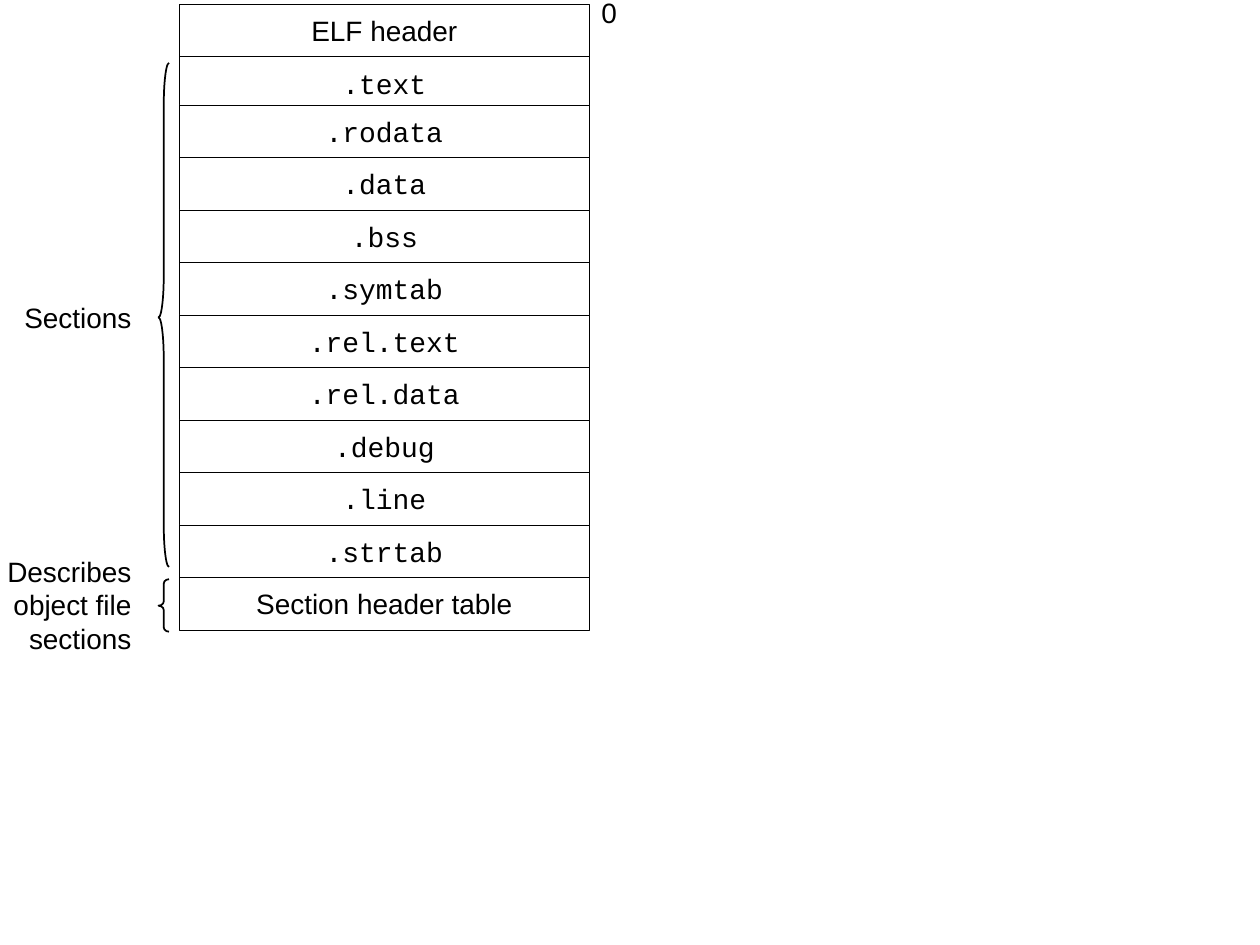
from dataclasses import dataclass

from pptx import Presentation
from pptx.dml.color import RGBColor
from pptx.enum.shapes import MSO_SHAPE
from pptx.enum.text import MSO_ANCHOR, MSO_AUTO_SIZE, PP_ALIGN
from pptx.util import Pt

RECTANGLE = MSO_SHAPE.RECTANGLE
LEFT_BRACE = MSO_SHAPE.LEFT_BRACE
MIDDLE = MSO_ANCHOR.MIDDLE
GROW = MSO_AUTO_SIZE.SHAPE_TO_FIT_TEXT
LEFT, CENTER, RIGHT = PP_ALIGN.LEFT, PP_ALIGN.CENTER, PP_ALIGN.RIGHT


@dataclass(frozen=True)
class Theme:
    ink: RGBColor = RGBColor(0, 0, 0)
    paper: RGBColor = RGBColor(255, 255, 255)
    label_font: str = "Arial"
    code_font: str = "Courier New"
    text_size: float = 16
    row_line: float = 0.25
    brace_line: float = 1


THEME = Theme()
ROW_LEFT, ROW_WIDTH, ROW_HEIGHT = 102.6, 234, 30
HEADER_TOP, TEXT_TOP, RODATA_TOP = 2.4, 32.4, 60
BRACE_LEFT, BRACE_WIDTH = 90.6, 6
LABEL_RIGHT = 82.2
SECTIONS = [".text", ".rodata", ".data", ".bss", ".symtab", ".rel.text",
            ".rel.data", ".debug", ".line", ".strtab"]


def write(frame, text, font_name, alignment):
    paragraph = frame.paragraphs[0]
    paragraph.text = text
    paragraph.alignment = alignment
    paragraph.font.name = font_name
    paragraph.font.size = Pt(THEME.text_size)
    paragraph.font.color.rgb = THEME.ink


def outline(shape, width):
    shape.shadow.inherit = False
    shape.line.color.rgb = THEME.ink
    shape.line.width = Pt(width)


def add_row(slide, top, name, font_name):
    row = slide.shapes.add_shape(
        RECTANGLE, Pt(ROW_LEFT), Pt(top), Pt(ROW_WIDTH), Pt(ROW_HEIGHT))
    outline(row, THEME.row_line)
    row.fill.solid()
    row.fill.fore_color.rgb = THEME.paper
    row.text_frame.word_wrap = False
    row.text_frame.vertical_anchor = MIDDLE
    write(row.text_frame, name, font_name, CENTER)


def add_brace(slide, top, height):
    brace = slide.shapes.add_shape(
        LEFT_BRACE, Pt(BRACE_LEFT), Pt(top), Pt(BRACE_WIDTH), Pt(height))
    outline(brace, THEME.brace_line)
    brace.fill.background()
    brace.adjustments[0] = height / 12 / BRACE_WIDTH
    brace.adjustments[1] = 0.505


def add_label(slide, left, top, width, height, text, alignment, wrap=True):
    label = slide.shapes.add_textbox(Pt(left), Pt(top), Pt(width), Pt(height))
    label.text_frame.word_wrap = wrap
    label.text_frame.auto_size = GROW
    write(label.text_frame, text, THEME.label_font, alignment)


def add_side_label(slide, top, width, height, text):
    add_label(slide, LABEL_RIGHT - width, top, width, height, text, RIGHT)


def main():
    deck = Presentation()
    deck.slide_width, deck.slide_height = Pt(720), Pt(540)
    slide = deck.slides.add_slide(deck.slide_layouts[6])

    section_tops = [TEXT_TOP] + [
        RODATA_TOP + ROW_HEIGHT * i for i in range(len(SECTIONS) - 1)]
    table_top = section_tops[-1] + ROW_HEIGHT
    add_row(slide, HEADER_TOP, "ELF header", THEME.label_font)
    for top, section in zip(section_tops, SECTIONS):
        add_row(slide, top, section, THEME.code_font)
    add_row(slide, table_top, "Section header table", THEME.label_font)

    add_brace(slide, 36, 288)
    add_brace(slide, 331, ROW_HEIGHT)
    add_side_label(slide, 168, 97, 26.6, "Sections")
    add_side_label(slide, 313.2, 108, 65, "Describes object file sections")
    add_label(slide, ROW_LEFT + ROW_WIDTH, -6, 23, 26.6, "0", LEFT, wrap=False)

    deck.save("out.pptx")


if __name__ == "__main__":
    main()
